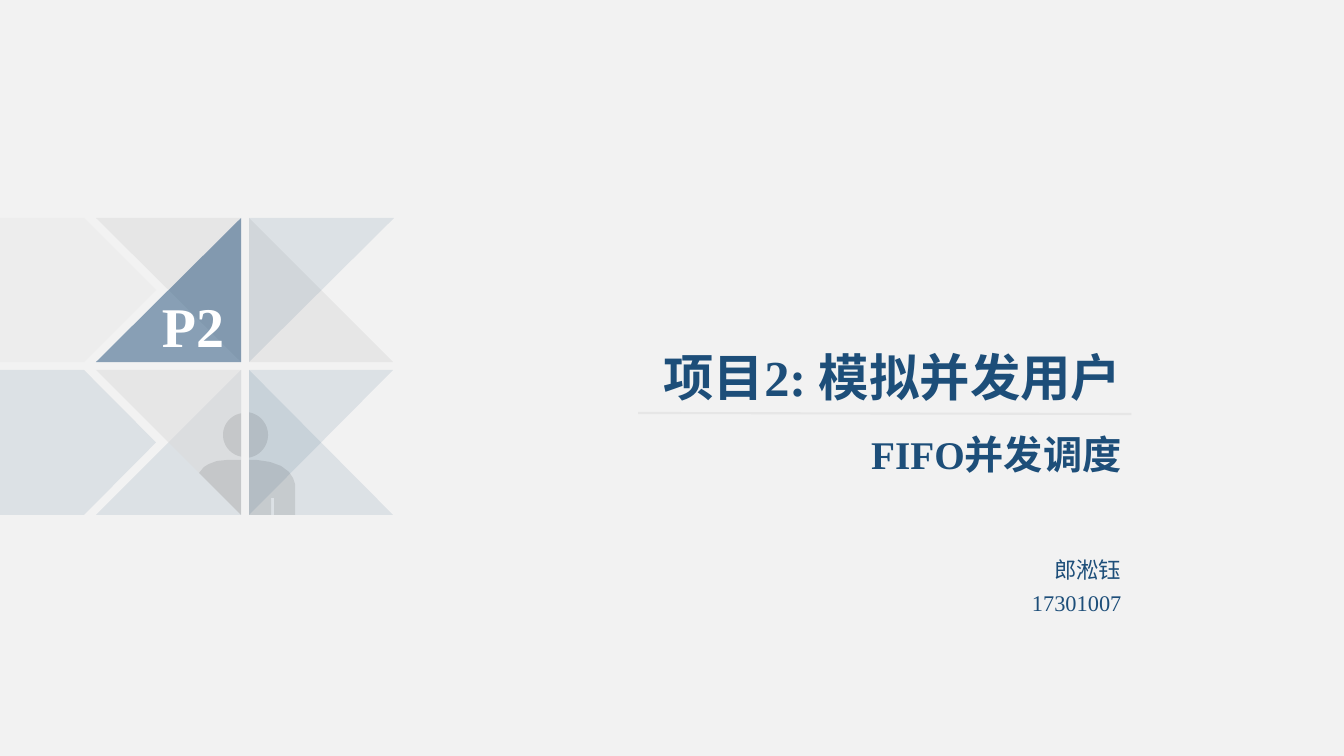
import math

import pptx
import pptx.dml.color
import pptx.enum.shapes
import pptx.enum.text
import pptx.oxml
import pptx.oxml.ns
import pptx.util

RGB = pptx.dml.color.RGBColor
ALIGN = pptx.enum.text.PP_ALIGN
BACKGROUND = RGB(0xF2, 0xF2, 0xF2)
NAVY = RGB(0x1F, 0x4E, 0x79)
TITLE_BLUE = RGB(0x1D, 0x4E, 0x79)
SILVER = RGB(0xD9, 0xD9, 0xD9)
PALE = RGB(0xDB, 0xDB, 0xDB)
GRAY = RGB(0x7F, 0x7F, 0x7F)
BLACK = RGB(0x0D, 0x0D, 0x0D)
RULE = RGB(0xE6, 0xE6, 0xE6)
WHITE = RGB(0xFF, 0xFF, 0xFF)


class SlidePainter:
    font = "Times New Roman"
    scale = 914400 / 100.8

    def __init__(self, deck):
        self.slide = deck.slides.add_slide(deck.slide_layouts[6])
        fill = self.slide.background.fill
        fill.solid()
        fill.fore_color.rgb = BACKGROUND

    def emu(self, px):
        return pptx.util.Emu(round(px * self.scale))

    def polygon(self, points, color, opacity):
        """Draw a closed outline; opacity is in percent."""
        corners = [(self.emu(x), self.emu(y)) for x, y in points]
        builder = self.slide.shapes.build_freeform(*corners[0])
        builder.add_line_segments(corners[1:], close=True)
        shape = builder.convert_to_shape()
        shape.shadow.inherit = False
        shape.line.fill.background()
        shape.fill.solid()
        shape.fill.fore_color.rgb = color
        tint = shape.fill._xPr.find(".//" + pptx.oxml.ns.qn("a:srgbClr"))
        alpha = tint.makeelement(pptx.oxml.ns.qn("a:alpha"), {"val": str(opacity * 1000)})
        tint.append(alpha)

    def text(self, left, top, width, height, lines, color,
             bold=False, align=ALIGN.LEFT, spacing=1.0):
        """Write one paragraph for each (wording, point size) in lines."""
        box = self.slide.shapes.add_textbox(*map(self.emu, (left, top, width, height)))
        frame = box.text_frame
        frame.word_wrap = True
        frame.auto_size = pptx.enum.text.MSO_AUTO_SIZE.SHAPE_TO_FIT_TEXT
        for index, (wording, size) in enumerate(lines):
            para = frame.add_paragraph() if index else frame.paragraphs[0]
            para.alignment = align
            para.line_spacing = spacing
            span = para.add_run()
            span.text = wording
            span.font.name = self.font
            span.font.size = pptx.util.Pt(size)
            span.font.bold = bold
            span.font.color.rgb = color

    def line(self, x1, y1, x2, y2, color, width):
        rule = self.slide.shapes.add_connector(
            pptx.enum.shapes.MSO_CONNECTOR.STRAIGHT, *map(self.emu, (x1, y1, x2, y2)))
        rule.line.color.rgb = color
        rule.line.width = pptx.util.Pt(width)
        properties = rule._element.spPr
        properties.append(properties.makeelement(pptx.oxml.ns.qn("a:effectLst"), {}))


def arc(center_x, center_y, radius, start, end, steps=24):
    """Return points on a circle between two angles in degrees."""
    angles = [math.radians(start + (end - start) * i / steps) for i in range(steps + 1)]
    return [(center_x + radius * math.cos(a), center_y + radius * math.sin(a)) for a in angles]


def draw_mosaic(painter):
    left, inner_left, inner_right, right = 96, 241, 249, 393
    rows = ((218, 362), (370, 515))
    (top, upper), (lower, bottom) = rows

    for (y1, y2), color, opacity in zip(rows, (SILVER, NAVY), (20, 10)):
        arrow = [(0, y1), (84, y1), (156, (y1 + y2) / 2), (84, y2), (0, y2)]
        painter.polygon(arrow, color, opacity)

    # Each triangle: three corners, colour, opacity
    triangles = (
        ((left, top), (inner_left, top), (inner_left, upper), GRAY, 10),
        ((inner_left, top), (left, upper), (inner_left, upper), NAVY, 50),
        ((inner_right, top), (inner_right, upper), (right, upper), GRAY, 10),
        ((inner_right, top), (right + 1, top), (inner_right, upper), NAVY, 10),
        ((inner_right, lower), (right, lower), (inner_right, bottom), NAVY, 10),
        ((left, bottom), (inner_left, lower), (inner_left, bottom), NAVY, 10),
        ((left, lower), (inner_left, lower), (inner_left, bottom), PALE, 50),
        ((inner_right, lower), (right, bottom), (inner_right, bottom), NAVY, 10),
    )
    for *corners, color, opacity in triangles:
        painter.polygon(corners, color, opacity)

    head_left = arc(245, 435, 22, 100, 260)
    head_right = arc(245, 435, 23, -80, 80)
    body_left = [(inner_left, 460), (227, 460), (217, 461), (209, 464),
                 (204, 467), (199, 473), (inner_left, bottom)]
    body_right = [(inner_right, 460), (257, 460), (270, 462), (281, 466), (289, 472),
                  (293, 478), (295, 484), (295, bottom), (274, bottom), (274, 498),
                  (271, 498), (271, bottom), (inner_right, bottom)]
    for part in (head_left, body_left, head_right, body_right):
        painter.polygon(part, BLACK, 10)


def main():
    deck = pptx.Presentation()
    deck.slide_width = pptx.util.Inches(13.33)
    deck.slide_height = pptx.util.Inches(7.5)
    painter = SlidePainter(deck)
    draw_mosaic(painter)
    painter.text(152, 287, 101, 78, [("P2", 40)], WHITE, bold=True)
    painter.text(602, 311, 529, 173, [("项目2: 模拟并发用户", 36), ("FIFO并发调度", 28)],
                 TITLE_BLUE, bold=True, align=ALIGN.RIGHT, spacing=1.5)
    painter.line(638, 413, 1131, 414, RULE, 1.5)
    painter.text(995, 544, 136, 78, [("郎淞钰", 16), ("17301007", 16)],
                 TITLE_BLUE, align=ALIGN.RIGHT, spacing=1.25)
    deck.save("out.pptx")


if __name__ == "__main__":
    main()
